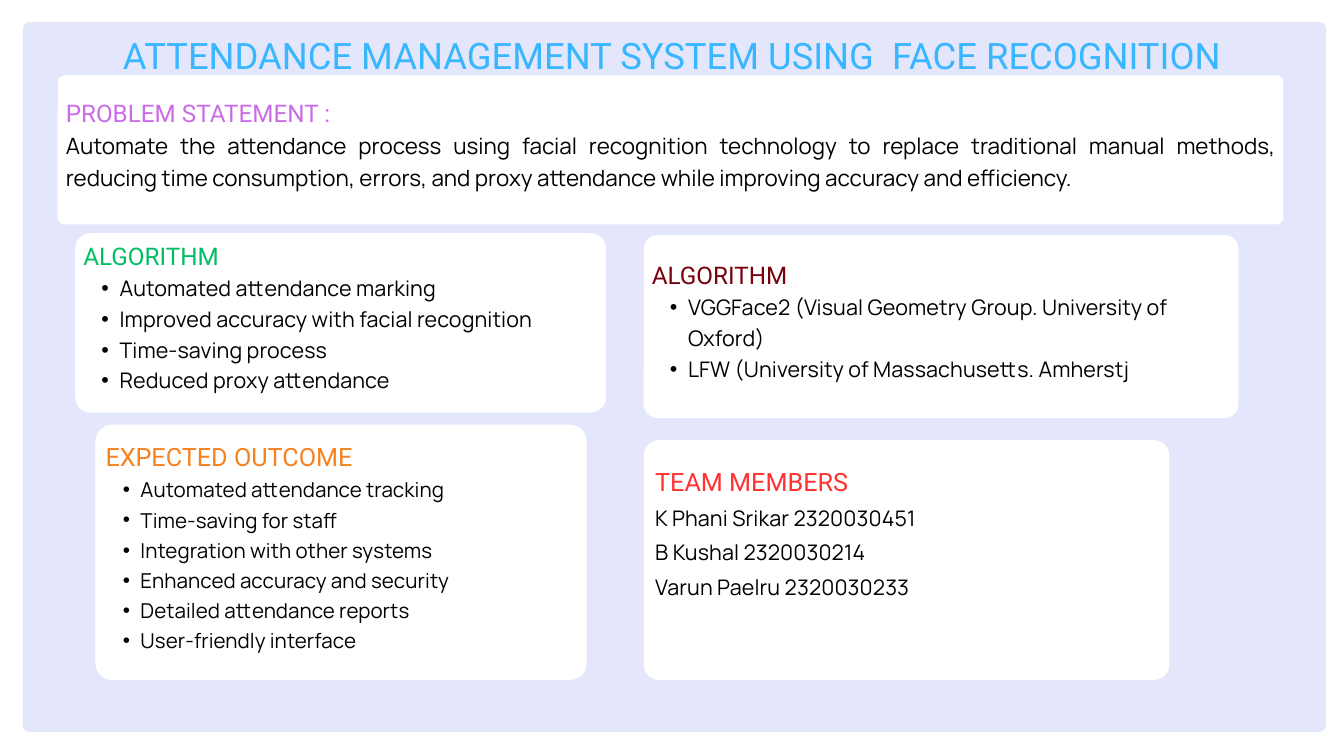
from dataclasses import dataclass

from lxml.etree import SubElement
from pptx import Presentation
from pptx.dml.color import RGBColor
from pptx.enum.shapes import MSO_SHAPE
from pptx.enum.text import MSO_ANCHOR, MSO_AUTO_SIZE, PP_ALIGN
from pptx.oxml.ns import qn
from pptx.util import Inches, Pt

COLORS = {
    "panel": "E4E7FC",
    "card": "FFFFFF",
    "body": "000000",
    "title": "38B6FF",
    "problem": "CB6CE6",
    "algorithm": "00BF63",
    "datasets": "79010D",
    "outcome": "F6821F",
    "team": "FF3131",
}
HEADING_FONT = "Roboto"
BODY_FONT = "Manrope"


@dataclass
class Card:
    """Boxes are left, top, width, height in inches; styles are size, line spacing in points."""
    box: tuple
    radius: float
    rise: float  # how far the text area starts above the card
    inset: float
    color: str
    heading: str
    heading_style: tuple
    lines: list
    line_style: tuple
    bullet_indent: float = 0
    align: PP_ALIGN = PP_ALIGN.LEFT
    tracking: float = 0.1
    space_below: float = 0


CARDS = [
    Card((0.86, 1.12, 18.24, 2.22), 0.1, 0.23, 0.12, "problem",
         "PROBLEM STATEMENT :", (26, 36.4),
         ["Automate the attendance process using facial recognition technology "
          "to replace traditional manual methods, reducing time consumption, "
          "errors, and proxy attendance while improving accuracy and efficiency."],
         (24, 33.6), align=PP_ALIGN.JUSTIFY, tracking=0),
    Card((1.12, 3.47, 7.9, 2.67), 0.23, 0.24, 0.12, "algorithm",
         "ALGORITHM", (26, 36.4),
         ["Automated attendance marking",
          "Improved accuracy with facial recognition",
          "Time-saving process",
          "Reduced proxy attendance"],
         (23, 32.9), bullet_indent=0.27),
    Card((9.58, 3.5, 8.85, 2.72), 0.2, 0.24, 0.12, "datasets",
         "ALGORITHM", (26, 36.4),
         ["VGGFace2 (Visual Geometry Group. University of Oxford)",
          "LFW (University of Massachusetts. Amherstj"],
         (23, 32.9), bullet_indent=0.27),
    Card((1.42, 6.32, 7.31, 3.8), 0.25, 0.23, 0.15, "outcome",
         "EXPECTED OUTCOME", (27, 37.8),
         ["Automated attendance tracking",
          "Time-saving for staff",
          "Integration with other systems",
          "Enhanced accuracy and security",
          "Detailed attendance reports",
          "User-friendly interface"],
         (22, 32.3), bullet_indent=0.26),
    Card((9.58, 6.55, 7.82, 3.57), 0.23, 0.44, 0.17, "team",
         "TEAM MEMBERS", (27, 42.9),
         ["K Phani Srikar 2320030451",
          "B Kushal 2320030214",
          "Varun Paelru 2320030233"],
         (23, 36.6), space_below=0.51),
]


def add_rounded_box(slide, box, radius, color):
    shape = slide.shapes.add_shape(MSO_SHAPE.ROUNDED_RECTANGLE, *map(Inches, box))
    shape.adjustments[0] = radius / min(box[2:])
    shape.shadow.inherit = False
    shape.fill.solid()
    shape.fill.fore_color.rgb = RGBColor.from_string(COLORS[color])
    shape.line.fill.background()


def set_insets(text_frame, inset, space_below=0):
    text_frame.margin_left = text_frame.margin_right = Inches(inset)
    text_frame.margin_top = Inches(inset)
    text_frame.margin_bottom = Inches(inset + space_below)


def write_paragraph(paragraph, text, font_name, style, color, align, tracking=0):
    size, line_spacing = style
    paragraph.text = text
    paragraph.alignment = align
    paragraph.line_spacing = Pt(line_spacing)
    for run in paragraph.runs:
        run.font.name = font_name
        run.font.size = Pt(size)
        run.font.bold = False
        run.font.color.rgb = RGBColor.from_string(COLORS[color])
        if tracking:
            run._r.get_or_add_rPr().set("spc", str(round(tracking * 100)))


def add_bullet(paragraph, indent):
    paragraph.level = 1
    properties = paragraph._p.get_or_add_pPr()
    properties.set("marL", str(Inches(2 * indent)))
    properties.set("indent", str(-Inches(indent)))
    SubElement(properties, qn("a:buFont")).set("typeface", "Arial")
    SubElement(properties, qn("a:buChar")).set("char", "•")


def add_card(slide, card):
    add_rounded_box(slide, card.box, card.radius, "card")
    left, top, width, height = card.box
    text_box = slide.shapes.add_textbox(
        Inches(left), Inches(top - card.rise), Inches(width), Inches(height + card.rise))
    text_frame = text_box.text_frame
    text_frame.word_wrap = True
    text_frame.vertical_anchor = MSO_ANCHOR.MIDDLE
    set_insets(text_frame, card.inset, card.space_below)
    write_paragraph(text_frame.paragraphs[0], card.heading, HEADING_FONT,
                    card.heading_style, card.color, card.align)
    for line in card.lines:
        paragraph = text_frame.add_paragraph()
        write_paragraph(paragraph, line, BODY_FONT, card.line_style, "body",
                        card.align, card.tracking)
        if card.bullet_indent:
            add_bullet(paragraph, card.bullet_indent)


def format_title(slide, text):
    title = slide.shapes.title
    title.left, title.top = Inches(0), Inches(0.39)
    title.width, title.height = Inches(20), Inches(0.74)
    text_frame = title.text_frame
    text_frame.word_wrap = True
    text_frame.auto_size = MSO_AUTO_SIZE.NONE
    text_frame.vertical_anchor = MSO_ANCHOR.TOP
    set_insets(text_frame, 0)
    write_paragraph(text_frame.paragraphs[0], text, HEADING_FONT, (39, 54.6),
                    "title", PP_ALIGN.CENTER)
    # Bring the title in front of the background panel.
    title.element.getparent().append(title.element)


def main():
    presentation = Presentation()
    presentation.slide_width = Inches(20)
    presentation.slide_height = Inches(11.25)
    slide = presentation.slides.add_slide(presentation.slide_layouts[5])
    add_rounded_box(slide, (0.34, 0.33, 19.39, 10.56), 0.09, "panel")
    for card in CARDS:
        add_card(slide, card)
    format_title(slide, "ATTENDANCE MANAGEMENT SYSTEM USING  FACE RECOGNITION")
    presentation.save("out.pptx")


if __name__ == "__main__":
    main()
